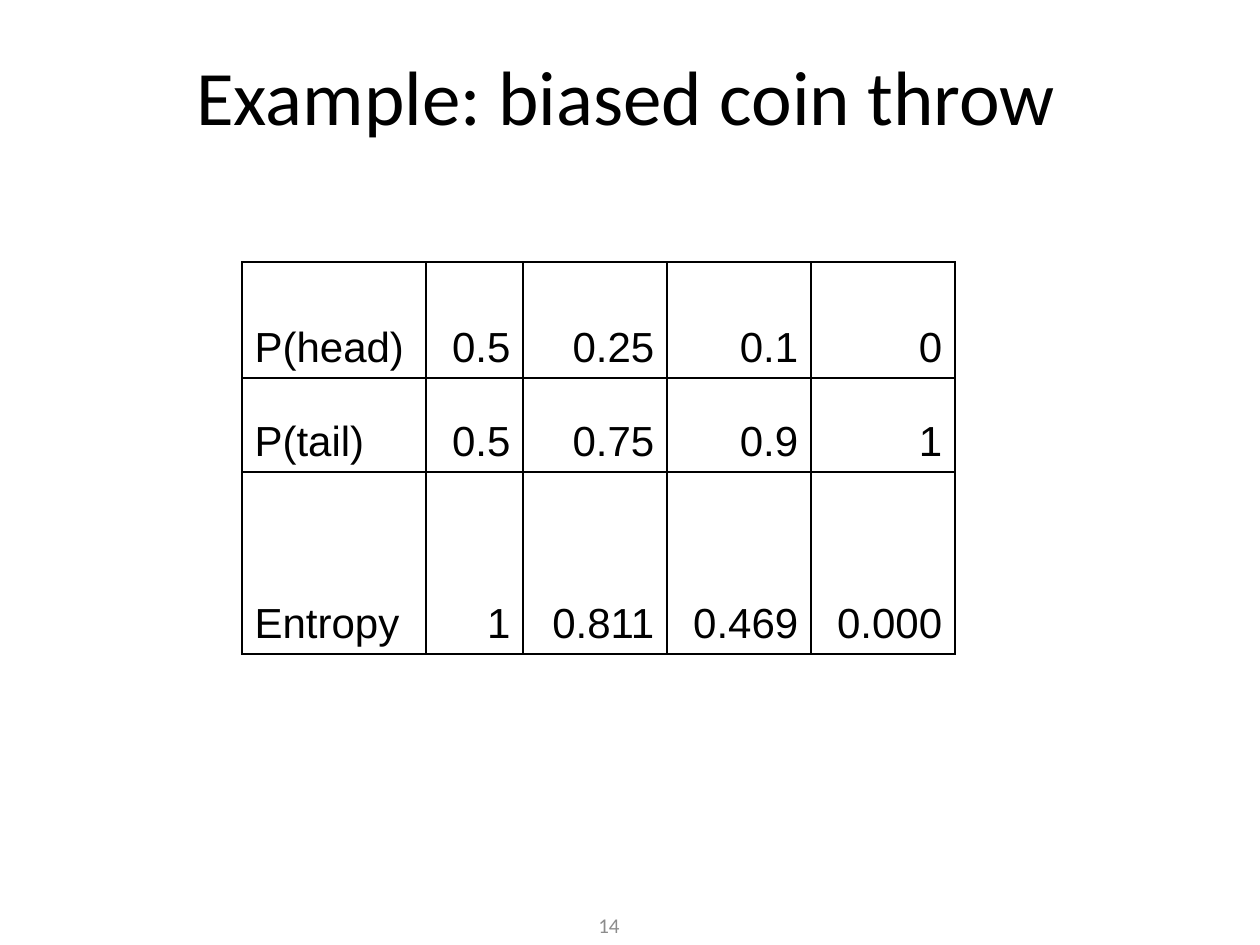
"""Build a slide with a table of entropies for a biased coin."""
import pptx
import pptx.dml.color
import pptx.enum.text
import pptx.oxml
import pptx.oxml.ns
import pptx.util

PX = 914400 // 126
BLACK = pptx.dml.color.RGBColor(0x00, 0x00, 0x00)
GREY = pptx.dml.color.RGBColor(0x8C, 0x8C, 0x8C)
ALIGN = pptx.enum.text.PP_ALIGN
ANCHOR = pptx.enum.text.MSO_ANCHOR
COLS = [184, 97, 144, 144, 144]
ROWS = [116, 94, 182]
DATA = [
    ["P(head)", "0.5", "0.25", "0.1", "0"],
    ["P(tail)", "0.5", "0.75", "0.9", "1"],
    ["Entropy", "1", "0.811", "0.469", "0.000"],
]


def px(*sizes):
    return [size * PX for size in sizes]


def style(para, size, face, color, align):
    para.alignment = align
    para.font.size = pptx.util.Pt(size)
    para.font.name = face
    para.font.color.rgb = color


def write(frame, text, size, color, align):
    frame.word_wrap = True
    frame.vertical_anchor = ANCHOR.MIDDLE
    frame.text = text
    style(frame.paragraphs[0], size, "Calibri", color, align)


def add_title(slide, text, box):
    title = slide.shapes.title
    title.left, title.top, title.width, title.height = px(*box)
    write(title.text_frame, text, 44, BLACK, ALIGN.CENTER)


def add_label(slide, text, box):
    label = slide.shapes.add_textbox(*px(*box))
    write(label.text_frame, text, 12, GREY, ALIGN.RIGHT)


def add_edges(cell):
    props = cell._tc.get_or_add_tcPr()
    for side in "LRTB":
        props.append(pptx.oxml.parse_xml(
            f'<a:ln{side} {pptx.oxml.ns.nsdecls("a")} w="12700"><a:solidFill>'
            f'<a:srgbClr val="{BLACK}"/></a:solidFill></a:ln{side}>'))


def fill_cell(cell, text, align):
    add_edges(cell)
    cell.fill.background()
    cell.vertical_anchor = ANCHOR.BOTTOM
    cell.text = text
    para = cell.text_frame.paragraphs[0]
    style(para, 24, "Arial", BLACK, align)
    props = para._p.get_or_add_pPr()
    props.set("marL", "228600")
    props.set("indent", "-228600")


def add_grid(slide, left, top):
    frame = slide.shapes.add_table(
        len(ROWS), len(COLS), *px(left, top, sum(COLS), sum(ROWS)))
    table = frame.table
    table.first_row = table.horz_banding = False
    for col, width in zip(table.columns, px(*COLS)):
        col.width = width
    for row, height, texts in zip(table.rows, px(*ROWS), DATA):
        row.height = height
        for i, text in enumerate(texts):
            fill_cell(row.cells[i], text, ALIGN.RIGHT if i else ALIGN.LEFT)


def main():
    deck = pptx.Presentation()
    deck.slide_width, deck.slide_height = px(1260, 945)
    slide = deck.slides.add_slide(deck.slide_layouts[5])
    add_label(slide, "14", (504, 904, 128, 42))
    add_title(slide, "Example: biased coin throw ", (63, 32, 1144, 126))
    add_grid(slide, 242, 262)
    deck.save("out.pptx")


if __name__ == "__main__":
    main()
